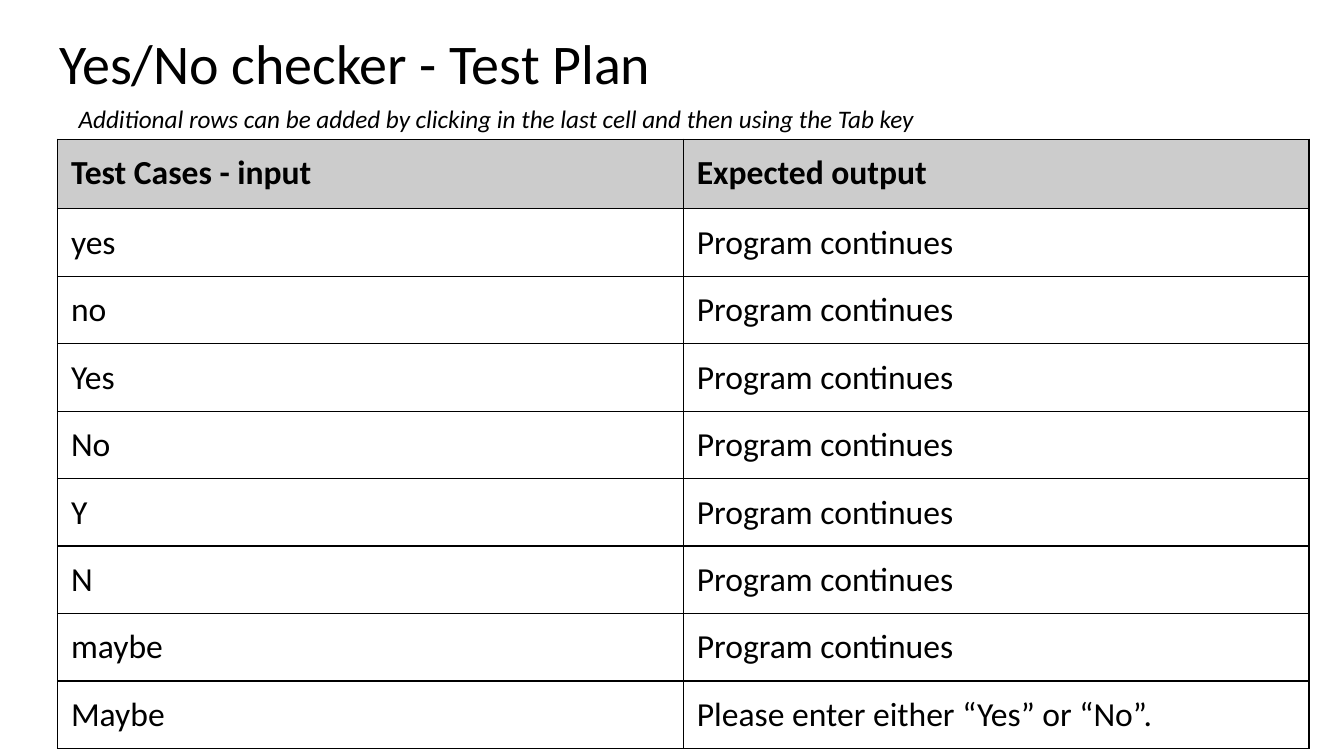
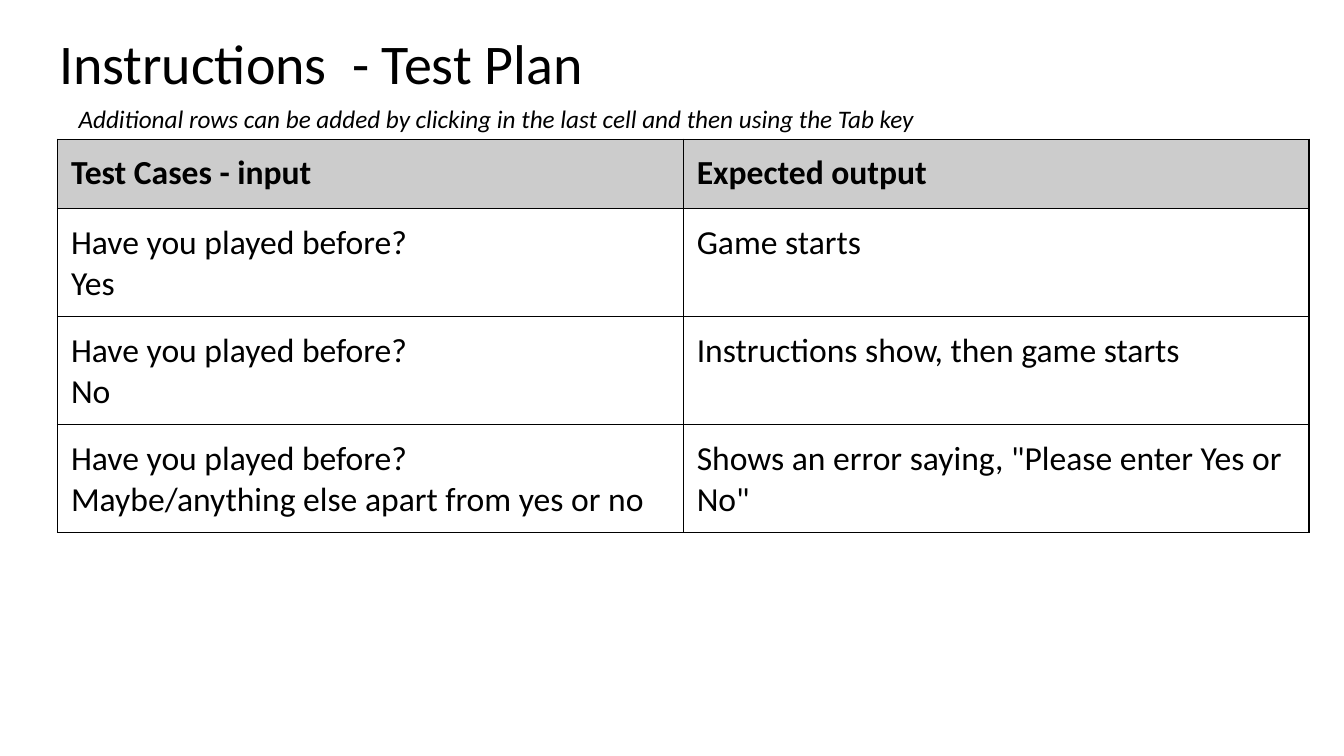
from lxml.etree import SubElement
from pptx import Presentation
from pptx.dml.color import RGBColor
from pptx.enum.text import MSO_ANCHOR as Anchor
from pptx.oxml.ns import qn
from pptx.util import Cm, Pt

# Shared look
BLACK = RGBColor(0x00, 0x00, 0x00)
WHITE = RGBColor(0xFF, 0xFF, 0xFF)
HEADER_GREY = RGBColor(0xCC, 0xCC, 0xCC)
FONT = "Calibri"
PADDING = Cm(0.34)
BORDER = Pt(1)

# Table measures
COLUMN_WIDTH = Cm(15.77)
HEADER_HEIGHT = Cm(1.75)
LINE_HEIGHT = Cm(1.02)

# Wording
HEADINGS = ("Test Cases - input", "Expected output")
HINT = ("Additional rows can be added by clicking in the last cell "
        "and then using the Tab key")
QUESTION = "Have you played before?\n"
CHECKER_CASES = [
    *((answer, "Program continues")
      for answer in ("yes", "no", "Yes", "No", "Y", "N", "maybe")),
    ("Maybe", "Please enter either “Yes” or “No”."),
]
INSTRUCTION_CASES = [
    (QUESTION + "Yes", "Game starts"),
    (QUESTION + "No", "Instructions show, then game starts"),
    (QUESTION + "Maybe/anything else apart from yes or no",
     'Shows an error saying, "Please enter Yes or No"'),
]


def write_text(frame, text, size=24, bold=False, italic=False, spacing=None):
    """Fill a text frame, one paragraph for each line of text."""
    frame.word_wrap = True
    frame.text = text
    for paragraph in frame.paragraphs:
        paragraph.line_spacing = spacing
        font = paragraph.runs[0].font
        font.name, font.size = FONT, Pt(size)
        font.bold, font.italic = bold, italic
        font.color.rgb = BLACK


def pad(box):
    box.margin_left = box.margin_right = PADDING
    box.margin_top = box.margin_bottom = PADDING


def add_title(slide, title):
    frame = slide.shapes.add_textbox(
        Cm(1.15), Cm(0.6), Cm(31.55), Cm(2.13)).text_frame
    pad(frame)
    frame.vertical_anchor = Anchor.MIDDLE
    write_text(frame, title, size=40, spacing=0.9)


def add_hint(slide):
    frame = slide.shapes.add_textbox(
        Cm(1.73), Cm(2.49), Cm(27.79), Cm(1.02)).text_frame
    write_text(frame, HINT, size=18, italic=True)


def add_borders(cell):
    properties = cell._tc.get_or_add_tcPr()
    for side in ("a:lnL", "a:lnR", "a:lnT", "a:lnB"):
        line = SubElement(properties, qn(side), w=str(BORDER))
        fill = SubElement(line, qn("a:solidFill"))
        SubElement(fill, qn("a:srgbClr"), val=str(BLACK))


def fill_cell(cell, text, colour, bold):
    pad(cell)
    add_borders(cell)
    cell.fill.solid()
    cell.fill.fore_color.rgb = colour
    write_text(cell.text_frame, text, bold=bold)


def add_test_table(slide, cases):
    rows = [HEADINGS, *cases]
    heights = [HEADER_HEIGHT] + [
        2 * PADDING + LINE_HEIGHT * (1 + case.count("\n"))
        for case, _ in cases]
    table = slide.shapes.add_table(
        len(rows), len(HEADINGS), Cm(1.45), Cm(3.51),
        COLUMN_WIDTH * len(HEADINGS), sum(heights)).table
    table.first_row = table.horz_banding = False
    for index, (texts, height) in enumerate(zip(rows, heights)):
        is_header = index == 0
        table.rows[index].height = height
        for column, text in enumerate(texts):
            fill_cell(table.cell(index, column), text,
                      HEADER_GREY if is_header else WHITE, is_header)


def add_test_plan(deck, title, cases):
    slide = deck.slides.add_slide(deck.slide_layouts[6])
    add_title(slide, title)
    add_test_table(slide, cases)
    add_hint(slide)


def main():
    deck = Presentation()
    deck.slide_width, deck.slide_height = Cm(33.87), Cm(19.05)
    add_test_plan(deck, "Yes/No checker - Test Plan", CHECKER_CASES)
    add_test_plan(deck, "Instructions  - Test Plan", INSTRUCTION_CASES)
    deck.save("out.pptx")


if __name__ == "__main__":
    main()
